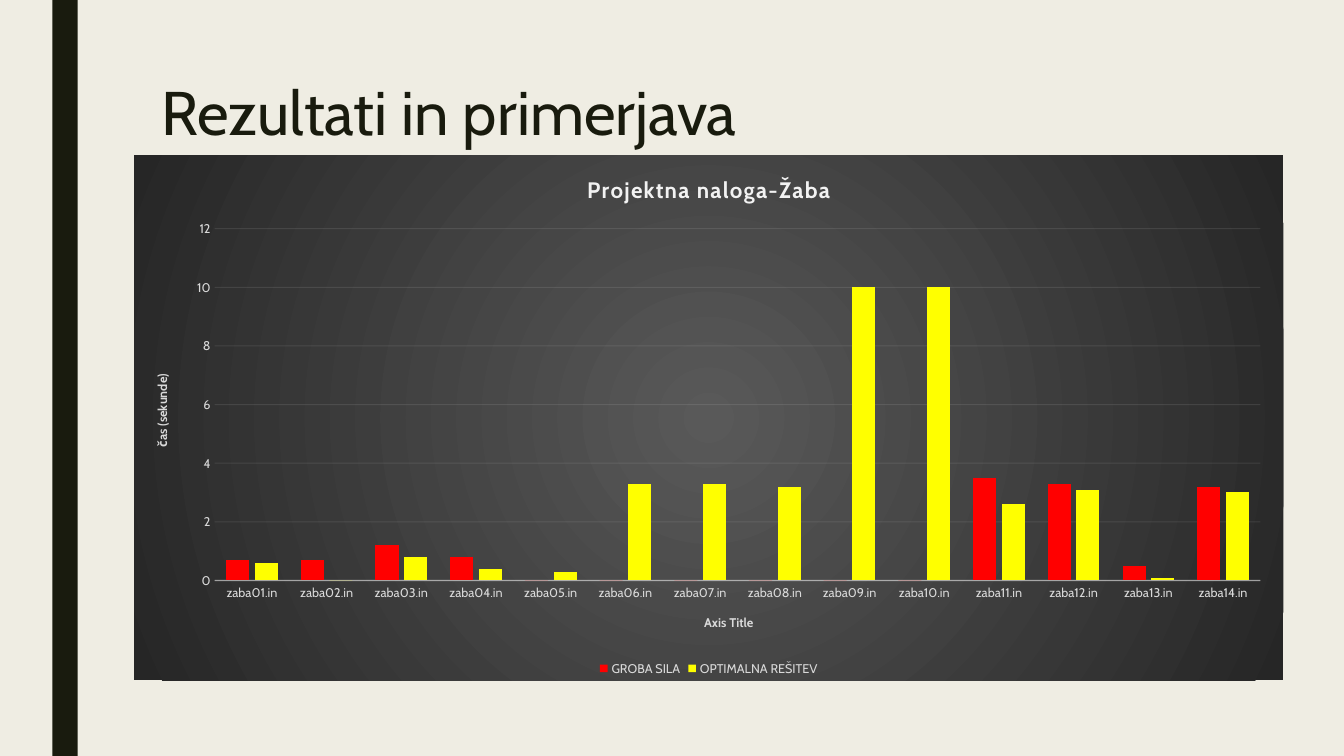
from lxml import etree
from pptx import Presentation
from pptx.chart.data import CategoryChartData
from pptx.dml.color import RGBColor
from pptx.enum.chart import XL_CHART_TYPE, XL_LEGEND_POSITION, XL_TICK_MARK
from pptx.enum.shapes import MSO_SHAPE
from pptx.enum.text import MSO_ANCHOR
from pptx.oxml import parse_xml
from pptx.oxml.ns import nsdecls, qn
from pptx.util import Inches, Pt

COLUMN = XL_CHART_TYPE.COLUMN_CLUSTERED
BOTTOM = XL_LEGEND_POSITION.BOTTOM
NO_TICK = XL_TICK_MARK.NONE
RECTANGLE = MSO_SHAPE.RECTANGLE
ANCHOR_MIDDLE = MSO_ANCHOR.MIDDLE

FONT = "Cabin"
DARK, CREAM = "191B0E", "EFEDE3"
LABEL, RULE = "D9D9D9", "F2F2F2"


def style_font(font, size, color, bold=False):
    font.name = FONT
    font.size = Pt(size)
    font.bold = bold
    font.color.rgb = RGBColor.from_string(color)


def style_line(line, width, color, opacity):
    """Set a line's width and colour; opacity is in percent."""
    line.width = Pt(width)
    line.color.rgb = RGBColor.from_string(color)
    fill_color = next(line.fill._xPr.iter(qn("a:srgbClr")))
    etree.SubElement(fill_color, qn("a:alpha")).set("val", str(opacity * 1000))


presentation = Presentation()
presentation.slide_width = Inches(13.33)
presentation.slide_height = Inches(7.5)
slide = presentation.slides.add_slide(presentation.slide_layouts[6])
slide.background.fill.solid()
slide.background.fill.fore_color.rgb = RGBColor.from_string(CREAM)

# Side bar
bar = slide.shapes.add_shape(
    RECTANGLE, Inches(0.52), 0, Inches(0.25), presentation.slide_height)
bar.shadow.inherit = False
bar.fill.solid()
bar.fill.fore_color.rgb = RGBColor.from_string(DARK)
bar.line.fill.background()

# Title
title = slide.shapes.add_textbox(Inches(1.5), Inches(0.75), Inches(10.5), Inches(0.79))
title.text_frame.word_wrap = True
title.text_frame.vertical_anchor = ANCHOR_MIDDLE
title.text_frame.text = "Rezultati in primerjava"
paragraph = title.text_frame.paragraphs[0]
paragraph.line_spacing = 0.89
style_font(paragraph.runs[0].font, 44, DARK)

# Chart data
series_styles = [
    ("GROBA SILA", "FF0000",
     [0.7, 0.7, 1.2, 0.8, 0, 0, 0, 0, 0, 0, 3.5, 3.3, 0.5, 3.2]),
    ("OPTIMALNA REŠITEV", "FFFF00",
     [0.6, 0, 0.8, 0.4, 0.3, 3.3, 3.3, 3.2, 10, 10, 2.6, 3.1, 0.1, 3]),
]
chart_data = CategoryChartData()
chart_data.categories = [f"zaba{number:02}.in" for number in range(1, 15)]
for name, _, values in series_styles:
    chart_data.add_series(name, values)

chart = slide.shapes.add_chart(
    COLUMN, Inches(1.33), Inches(1.54), Inches(11.4), Inches(5.21), chart_data).chart
style_font(chart.font, 10, LABEL)

plot = chart.plots[0]
plot.gap_width = 100
plot.overlap = -24
plot.vary_by_categories = False
for series, (_, color, _) in zip(plot.series, series_styles):
    series.format.fill.solid()
    series.format.fill.fore_color.rgb = RGBColor.from_string(color)
    series.invert_if_negative = False

# Chart title, axes and legend
category_axis, value_axis = chart.category_axis, chart.value_axis
for titled, text, size, color in [
    (chart, "Projektna naloga-Žaba", 16, RULE),
    (category_axis, "Axis Title", 9, LABEL),
    (value_axis, "čas (sekunde)", 9, LABEL),
]:
    titled.has_title = True
    text_frame = (chart.chart_title if titled is chart else titled.axis_title).text_frame
    text_frame.text = text
    style_font(text_frame.paragraphs[0].runs[0].font, size, color, bold=True)
chart_title_run = chart.chart_title.text_frame.paragraphs[0].runs[0]
chart_title_run._r.get_or_add_rPr().set("spc", "100")
chart.chart_title.include_in_layout = False

for axis in (category_axis, value_axis):
    axis.major_tick_mark = axis.minor_tick_mark = NO_TICK
    style_font(axis.tick_labels.font, 9, LABEL)
style_line(category_axis.format.line, 1, RULE, 54)
value_axis.format.line.fill.background()
value_axis.minimum_scale = 0
value_axis.maximum_scale = 12
value_axis.major_unit = 2
value_axis.has_major_gridlines = True
style_line(value_axis.major_gridlines.format.line, 0.75, RULE, 10)

chart.has_legend = True
chart.legend.position = BOTTOM
chart.legend.include_in_layout = False
style_font(chart.legend.font, 9, LABEL)

# Plot position, as shares of the chart's size
plot_area = chart.element.find(".//" + qn("c:plotArea"))
for layout in plot_area.findall(qn("c:layout")):
    plot_area.remove(layout)
plot_area.insert(0, parse_xml(
    f'<c:layout {nsdecls("c")}><c:manualLayout><c:layoutTarget val="inner"/>'
    '<c:xMode val="edge"/><c:yMode val="edge"/><c:x val="0.07"/><c:y val="0.14"/>'
    '<c:w val="0.91"/><c:h val="0.67"/></c:manualLayout></c:layout>'))

# Radial background of the chart
chart.element.find(qn("c:txPr")).addprevious(parse_xml(
    f'<c:spPr {nsdecls("c", "a")}><a:gradFill><a:gsLst>'
    '<a:gs pos="0"><a:srgbClr val="595959"/></a:gs>'
    '<a:gs pos="100000"><a:srgbClr val="262626"/></a:gs></a:gsLst>'
    '<a:path path="circle"><a:fillToRect l="50000" t="50000" r="50000" b="50000"/></a:path>'
    '</a:gradFill><a:ln><a:noFill/></a:ln></c:spPr>'))

presentation.save("out.pptx")
